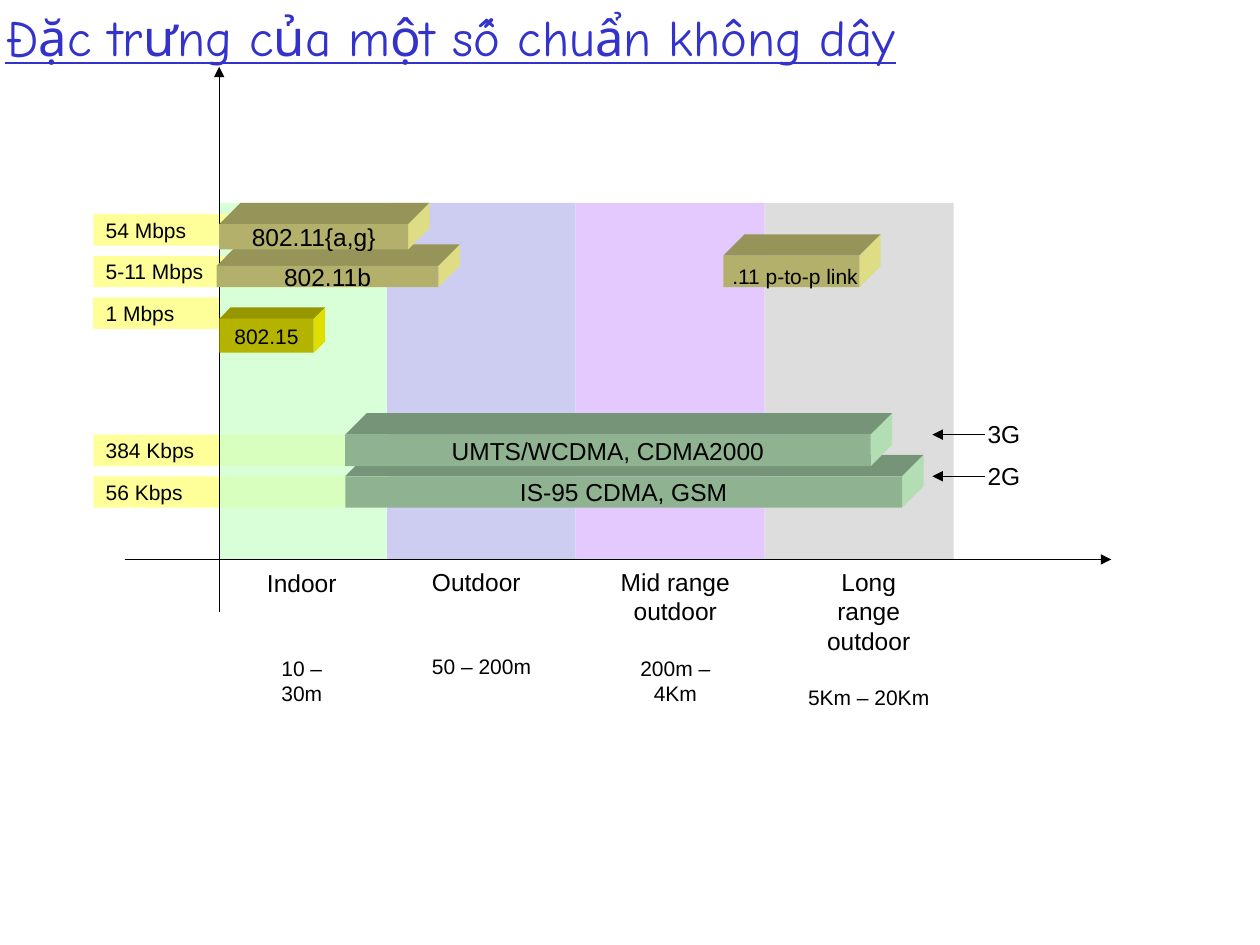
from lxml.etree import SubElement
from pptx import Presentation
from pptx.dml.color import RGBColor
from pptx.enum.shapes import MSO_CONNECTOR, MSO_SHAPE
from pptx.enum.text import MSO_ANCHOR, MSO_AUTO_SIZE, PP_ALIGN
from pptx.oxml.ns import qn
from pptx.util import Inches, Pt

HEX = {
    "ink": "000000", "title": "3333CC", "rate": "FFFF99",
    "indoor": "CCFFCC", "outdoor": "BFBFEF", "mid": "CC99FF", "long": "C0C0C0",
}
BARS = {
    "wlan": {"front": "B2B06B", "top": "969459", "side": "DEDC85"},
    "pan": {"front": "B3B300", "top": "969600", "side": "DEDE00"},
    "cell": {"front": "8FB391", "top": "769578", "side": "B3DEB3"},
}
LEFT, RIGHT, CENTER = PP_ALIGN.LEFT, PP_ALIGN.RIGHT, PP_ALIGN.CENTER


def paint(shape, color, alpha=None):
    shape.shadow.inherit = False
    shape.line.fill.background()
    shape.fill.solid()
    shape.fill.fore_color.rgb = RGBColor.from_string(color)
    if alpha:
        tint = shape.fill._xPr.find(qn("a:solidFill"))[0]
        SubElement(tint, qn("a:alpha")).set("val", str(alpha * 1000))


def style(para, size, align=LEFT, color="ink", font="Arial"):
    para.alignment = align
    for run in para.runs:
        run.font.size = Pt(size)
        run.font.name = font
        run.font.color.rgb = RGBColor.from_string(HEX[color])


def add_rect(slide, box, color, alpha=None):
    rect = slide.shapes.add_shape(MSO_SHAPE.RECTANGLE, *map(Inches, box))
    paint(rect, color, alpha)
    return rect


def add_face(slide, points, color):
    start, *rest = [(Inches(x), Inches(y)) for x, y in points]
    maker = slide.shapes.build_freeform(*start)
    maker.add_line_segments(rest, close=True)
    paint(maker.convert_to_shape(), color)


def add_arrow(slide, start, end):
    line = slide.shapes.add_connector(
        MSO_CONNECTOR.STRAIGHT, *map(Inches, start + end))
    line.line.color.rgb = RGBColor.from_string(HEX["ink"])
    line.line.width = Pt(0.75)
    SubElement(line.line._ln, qn("a:tailEnd")).set("type", "triangle")
    SubElement(line._element.spPr, qn("a:effectLst"))


def add_title(slide, box, text):
    title = slide.shapes.title
    title.left, title.top, title.width, title.height = map(Inches, box)
    frame = title.text_frame
    frame.text = text
    frame.auto_size = MSO_AUTO_SIZE.NONE
    frame.vertical_anchor = MSO_ANCHOR.MIDDLE
    style(frame.paragraphs[0], 29, LEFT, "title", "Comic Neue")
    frame.paragraphs[0].runs[0].font.underline = True


def add_rate(slide, box, text):
    frame = add_rect(slide, box, HEX["rate"]).text_frame
    frame.text = text
    frame.word_wrap = True
    frame.vertical_anchor = MSO_ANCHOR.MIDDLE
    style(frame.paragraphs[0], 12)


def add_bar(slide, box, text, kind, size=14, depth=0.17, shift=(0, 0)):
    left, top, width, height = box
    right, base = left + width, top + height
    tone = BARS[kind]
    add_face(slide, [(left, top), (left + depth, top - depth),
                     (right + depth, top - depth), (right, top)], tone["top"])
    add_face(slide, [(right, top), (right + depth, top - depth),
                     (right + depth, base - depth), (right, base)], tone["side"])
    frame = add_rect(slide, box, tone["front"]).text_frame
    frame.text = text
    frame.word_wrap = False
    frame.vertical_anchor = MSO_ANCHOR.MIDDLE
    frame.margin_left = Inches(0.1 + shift[0])
    frame.margin_top = Inches(0.05 + shift[1])
    style(frame.paragraphs[0], size, CENTER)


def add_range(slide, box, names, reach, gap, align=CENTER):
    frame = slide.shapes.add_textbox(*map(Inches, box)).text_frame
    frame.text = "\n".join(names + [reach])
    frame.word_wrap = True
    for para in frame.paragraphs:
        style(para, 14, align)
    last = frame.paragraphs[-1]
    style(last, 12, align)
    last.space_before = Pt(gap)


def add_gen(slide, box, text):
    left, top, width, height = box
    frame = slide.shapes.add_textbox(*map(Inches, box)).text_frame
    frame.text = text
    frame.word_wrap = False
    style(frame.paragraphs[0], 14)
    level = top + 0.17
    add_arrow(slide, (left + 0.08, level), (left - 0.34, level))


def add_chart_area(slide, box):
    left, top, width, height = box
    base = top + height
    label = left - 1
    for row, text in enumerate(["384 Kbps", "56 Kbps"]):
        add_rate(slide, (label, 3.45 + row * 0.33, 2.42, 0.25), text)

    edge = left + width
    for name, wide, alpha in [("long", 1.5, 53), ("mid", 1.5, 53),
                              ("outdoor", 1.5, 77), ("indoor", 1.33, 73)]:
        edge -= wide
        add_rect(slide, (edge, top, wide, height), HEX[name], alpha)

    rates = [("54 Mbps", 2.42), ("5-11 Mbps", 2.42), ("1 Mbps", 1)]
    for row, (text, wide) in enumerate(rates):
        add_rate(slide, (label, 1.7 + row * 0.33, wide, 0.25), text)

    add_arrow(slide, (left, base + 0.42), (left, 0.53))
    add_bar(slide, (left, 2.53, 0.75, 0.27), "802.15", "pan", 12, 0.09)
    add_bar(slide, (left - 0.02, 2.11, 1.76, 0.17), "802.11b", "wlan")
    add_bar(slide, (left, 1.78, 1.5, 0.2), "802.11{a,g}", "wlan")
    add_bar(slide, (left + 1, 3.78, 4.42, 0.25), "IS-95 CDMA, GSM", "cell")
    add_bar(slide, (left + 1, 3.45, 4.17, 0.25), "UMTS/WCDMA, CDMA2000", "cell")
    add_bar(slide, (left + 4, 2.03, 1.08, 0.25), ".11 p-to-p link", "wlan",
            12, shift=(0.06, 0.08))
    for row, text in enumerate(["3G", "2G"]):
        add_gen(slide, (left + 6, 3.28 + row * 0.33, 0.46, 0.33), text)
    add_arrow(slide, (left - 0.75, base), (left + 7.08, base))


def add_ranges(slide, top):
    add_range(slide, (1.95, top + 0.01, 0.89, 1), ["Indoor"], "10 – 30m", 33)
    add_range(slide, (3.33, top, 0.99, 1.23), ["Outdoor"], "50 – 200m", 33, LEFT)
    add_range(slide, (4.79, top, 1.14, 1.23), ["Mid range", "outdoor"],
              "200m – 4Km", 17)
    add_range(slide, (6.31, top, 1.17, 1.23), ["Long range", "outdoor"],
              "5Km – 20Km", 17)


def main():
    deck = Presentation()
    deck.slide_width, deck.slide_height = Inches(10), Inches(7.5)
    slide = deck.slides.add_slide(deck.slide_layouts[5])
    add_title(slide, (-0.06, -0.2, 8.33, 0.98),
              "Đặc trưng của một số chuẩn không dây")
    add_chart_area(slide, (1.74, 1.61, 5.83, 2.83))
    add_ranges(slide, 4.45)
    deck.save("out.pptx")


if __name__ == "__main__":
    main()
